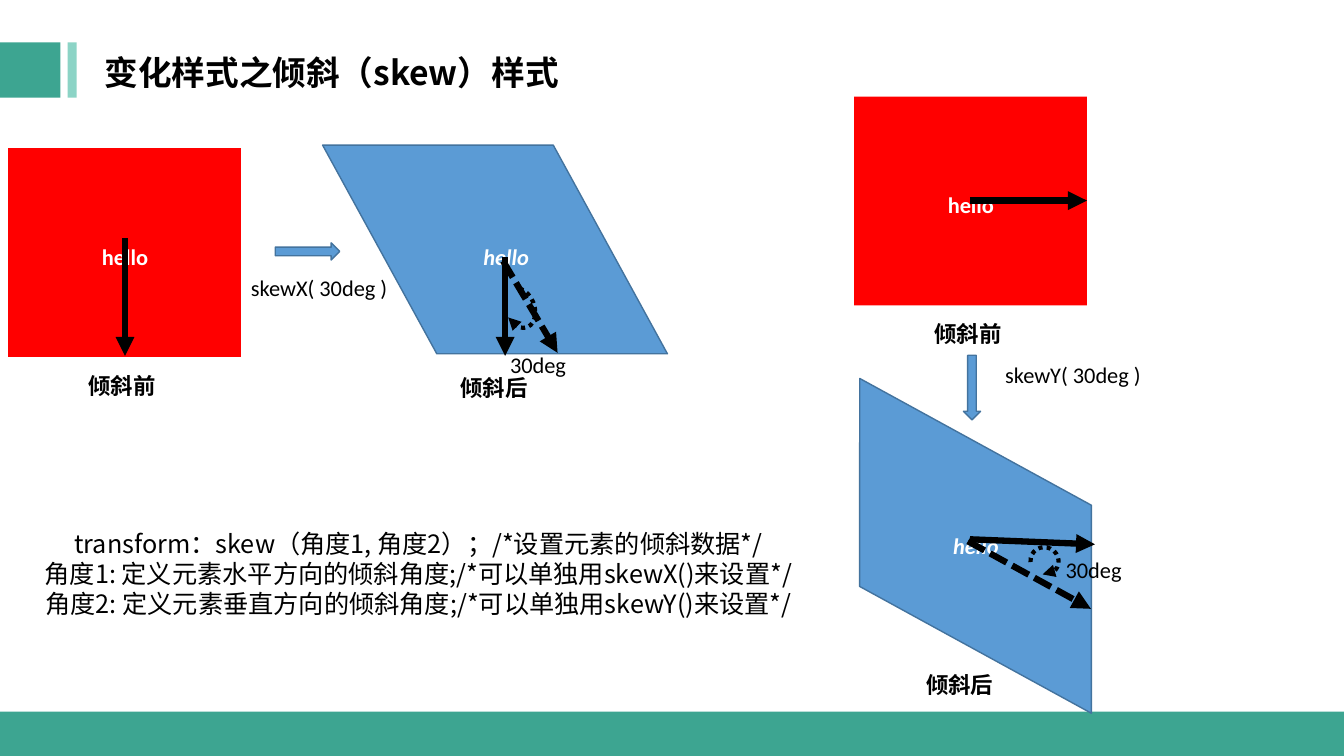
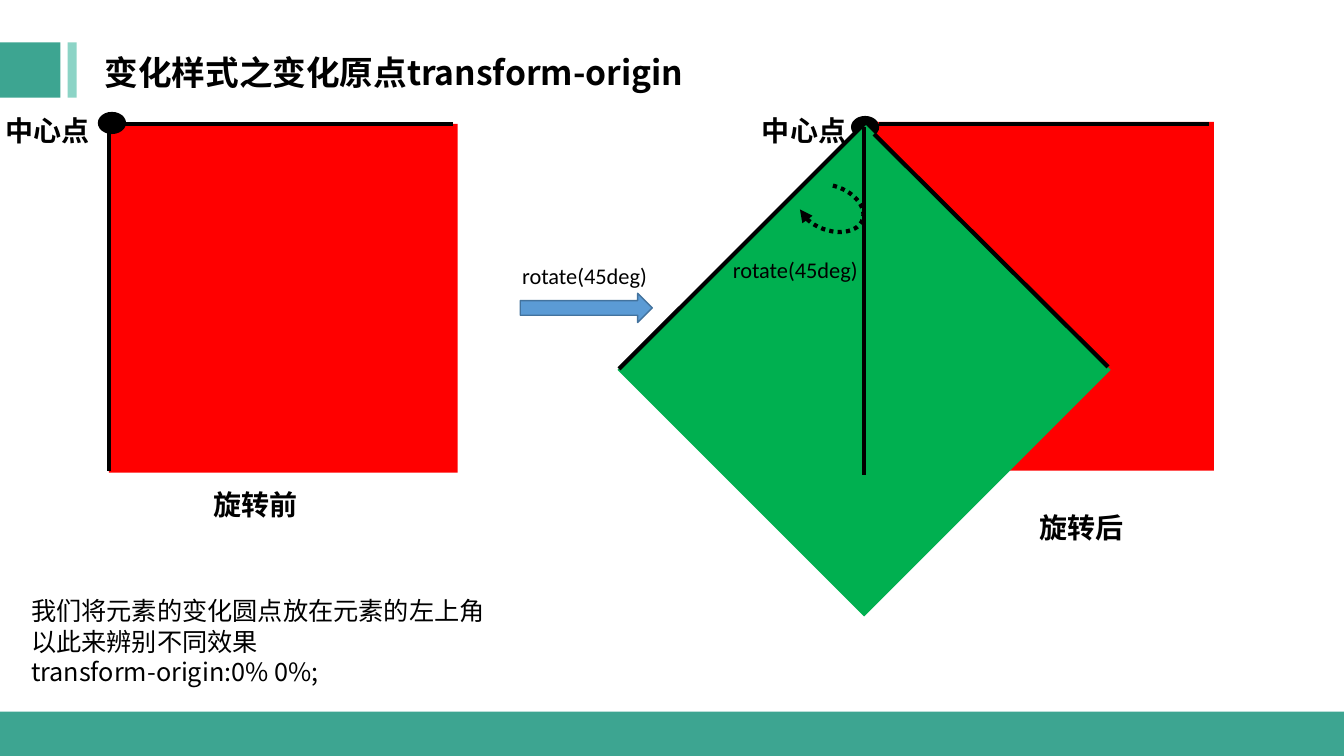
import dataclasses
import typing

import lxml.etree
import pptx
import pptx.dml.color
import pptx.enum.dml
import pptx.enum.shapes
import pptx.enum.text
import pptx.oxml.ns
import pptx.slide
import pptx.util

EMU_PER_PX = 9144  # 100 px to the inch
COLORS = {
    "teal": "3DA591", "mint": "8CD4C6", "red": "FF0000", "green": "00B050",
    "blue": "5B9BD5", "blue_edge": "43739E", "black": "000000", "white": "FFFFFF",
}
CJK_FONT = "Noto Sans CJK SC"
LATIN_FONT = "Calibri"
SHAPE = pptx.enum.shapes.MSO_SHAPE
DASH = pptx.enum.dml.MSO_LINE
ALIGN = pptx.enum.text.PP_ALIGN


@dataclasses.dataclass(frozen=True)
class Box:
    left: int
    top: int
    width: int
    height: int

    def emu(self) -> list[int]:
        return [px(value) for value in dataclasses.astuple(self)]


@dataclasses.dataclass(frozen=True)
class TextStyle:
    size: int
    font: str = LATIN_FONT
    bold: bool = False
    italic: bool = False
    color: str = "black"
    align: ALIGN = ALIGN.LEFT
    wrap: bool = True


@dataclasses.dataclass(frozen=True)
class Label:
    text: str
    box: Box
    style: TextStyle


@dataclasses.dataclass(frozen=True)
class Block:
    kind: SHAPE
    box: Box
    fill: str
    edge: typing.Optional[str] = None
    rotation: float = 0
    flip: bool = False
    adjust: typing.Optional[float] = None


@dataclasses.dataclass(frozen=True)
class Stroke:
    start: tuple[int, int]
    end: tuple[int, int]
    weight: float = 3
    arrow: bool = False
    dash: typing.Optional[DASH] = None


@dataclasses.dataclass(frozen=True)
class AngleArc:
    box: Box
    rotation: float
    start_angle: float
    end_angle: float


Item = typing.Union[Label, Block, Stroke, AngleArc]

TITLE = TextStyle(24, CJK_FONT, bold=True)
BODY = TextStyle(18, CJK_FONT)
BODY_CENTERED = dataclasses.replace(BODY, align=ALIGN.CENTER)
CODE = TextStyle(16)
ANGLE = dataclasses.replace(CODE, wrap=False)
CAPTION = TextStyle(16, bold=True, align=ALIGN.CENTER)
HELLO = dataclasses.replace(CAPTION, color="white")
HELLO_SKEWED = dataclasses.replace(HELLO, italic=True)
BIG_CAPTION = dataclasses.replace(CAPTION, size=20)


def px(value: int) -> int:
    return value * EMU_PER_PX


def rgb(name: str) -> pptx.dml.color.RGBColor:
    return pptx.dml.color.RGBColor.from_string(COLORS[name])


def add_label(page: pptx.slide.Slide, label: Label) -> None:
    frame = page.shapes.add_textbox(*label.box.emu()).text_frame
    frame.word_wrap = label.style.wrap
    frame.text = label.text
    for para in frame.paragraphs:
        para.alignment = label.style.align
        for span in para.runs:
            span.font.size = pptx.util.Pt(label.style.size)
            span.font.bold = label.style.bold
            span.font.italic = label.style.italic
            span.font.color.rgb = rgb(label.style.color)
            span.font.name = label.style.font
            east_asian = lxml.etree.SubElement(
                span.font._element, pptx.oxml.ns.qn("a:ea"))
            east_asian.set("typeface", CJK_FONT)


def add_block(page: pptx.slide.Slide, block: Block) -> None:
    shape = page.shapes.add_shape(block.kind, *block.box.emu())
    shape.shadow.inherit = False
    shape.fill.solid()
    shape.fill.fore_color.rgb = rgb(block.fill)
    if block.edge:
        shape.line.color.rgb = rgb(block.edge)
        shape.line.width = pptx.util.Pt(1)
    else:
        shape.line.fill.background()
    shape.rotation = block.rotation
    if block.adjust is not None:
        shape.adjustments[0] = block.adjust
    if block.flip:
        shape.element.spPr.find(pptx.oxml.ns.qn("a:xfrm")).set("flipH", "1")


def style_line(shape: typing.Any, weight: float, arrow: bool,
               dash: typing.Optional[DASH]) -> None:
    shape.line.color.rgb = rgb("black")
    shape.line.width = pptx.util.Pt(weight)
    if dash is not None:
        shape.line.dash_style = dash
    if arrow:
        outline = shape.element.spPr.find(pptx.oxml.ns.qn("a:ln"))
        tail = lxml.etree.SubElement(outline, pptx.oxml.ns.qn("a:tailEnd"))
        tail.set("type", "triangle")


def add_stroke(page: pptx.slide.Slide, stroke: Stroke) -> None:
    ends = [px(value) for value in stroke.start + stroke.end]
    line = page.shapes.add_connector(
        pptx.enum.shapes.MSO_CONNECTOR.STRAIGHT, *ends)
    style_line(line, stroke.weight, stroke.arrow, stroke.dash)
    lxml.etree.SubElement(line.element.spPr, pptx.oxml.ns.qn("a:effectLst"))


def add_angle_arc(page: pptx.slide.Slide, arc: AngleArc) -> None:
    shape = page.shapes.add_shape(SHAPE.ARC, *arc.box.emu())
    shape.shadow.inherit = False
    shape.fill.background()
    shape.rotation = arc.rotation
    # Angles are stored in 1/60000 degree, adjustments in 1/100000.
    shape.adjustments[0] = arc.start_angle * 0.6
    shape.adjustments[1] = arc.end_angle * 0.6
    style_line(shape, 3, True, DASH.ROUND_DOT)


DRAWERS = {Label: add_label, Block: add_block,
           Stroke: add_stroke, AngleArc: add_angle_arc}


def draw(page: pptx.slide.Slide, items: list[Item]) -> None:
    for item in items:
        DRAWERS[type(item)](page, item)


def add_page(deck: typing.Any, title: str) -> pptx.slide.Slide:
    """Add a blank page with the shared title, title marks and footer band."""
    page = deck.slides.add_slide(deck.slide_layouts[6])
    draw(page, [
        Block(SHAPE.RECTANGLE, Box(0, 42, 60, 55), "teal"),
        Block(SHAPE.RECTANGLE, Box(67, 42, 9, 55), "mint"),
        Label(title, Box(94, 47, 711, 50), TITLE),
        Block(SHAPE.RECTANGLE, Box(0, 706, 1333, 44), "teal"),
    ])
    return page


def block_arrow(box: Box, rotation: float = 0) -> Block:
    return Block(SHAPE.RIGHT_ARROW, box, "blue", "blue_edge", rotation)


def skewed(box: Box, rotation: float = 0) -> Block:
    return Block(SHAPE.PARALLELOGRAM, box, "blue", "blue_edge", rotation,
                 flip=True, adjust=0.547)


def caption(text: str, left: int, top: int, style: TextStyle = CAPTION) -> Label:
    return Label(text, Box(left, top, 104, 37), style)


def big_caption(text: str, left: int, top: int) -> Label:
    return Label(text, Box(left, top, 155, 44), BIG_CAPTION)


def heavy_arrow(start: tuple[int, int], end: tuple[int, int],
                dash: typing.Optional[DASH] = None) -> Stroke:
    return Stroke(start, end, 4.5, True, dash)


def before_skew(left: int, top: int) -> list[Item]:
    return [
        Block(SHAPE.RECTANGLE, Box(left, top, 231, 207), "red"),
        caption("hello", left + 64, top + 89, HELLO),
        caption("倾斜前", left + 61, top + 217),
    ]


def origin_square(left: int, top: int, dot_left: int, dot_top: int) -> list[Item]:
    """Red square with two edges marked from its origin dot."""
    return [
        Block(SHAPE.RECTANGLE, Box(left, top, 346, 346), "red"),
        Block(SHAPE.OVAL, Box(dot_left, dot_top, 28, 22), "black"),
        Stroke((left, 121), (left, 467)),
        Stroke((left + 14, 123), (left + 341, 123)),
        big_caption("中心点", left - 138, 108),
    ]


def build_skew_page(deck: typing.Any) -> None:
    page = add_page(deck, "变化样式之倾斜（skew）样式")
    explanation = "\n".join([
        "transform：skew（角度1, 角度2）；/*设置元素的倾斜数据*/",
        "角度1: 定义元素水平方向的倾斜角度;/*可以单独用skewX()来设置*/",
        "角度2: 定义元素垂直方向的倾斜角度;/*可以单独用skewY()来设置*/",
    ])
    draw(page, [Label(explanation, Box(8, 519, 814, 101), BODY_CENTERED)])
    draw(page, before_skew(8, 147) + [
        block_arrow(Box(273, 241, 64, 17)),
        Label("skewX( 30deg )", Box(239, 267, 169, 37), CODE),
        caption("倾斜后", 438, 366),
        skewed(Box(320, 144, 342, 207)),
        caption("hello", 450, 236, HELLO_SKEWED),
        heavy_arrow((124, 236), (124, 353)),
        heavy_arrow((499, 259), (553, 350), DASH.SQUARE_DOT),
        AngleArc(Box(495, 291, 41, 29), 68.4, 200.79, 72.33),
        Label("30deg", Box(496, 343, 82, 37), ANGLE),
        heavy_arrow((501, 255), (501, 353)),
    ])
    draw(page, before_skew(847, 96) + [
        block_arrow(Box(932, 376, 64, 17), 90),
        Label("skewY( 30deg )", Box(987, 353, 169, 37), CODE),
        caption("倾斜后", 900, 661),
        skewed(Box(787, 451, 361, 181), 208.7),
        caption("hello", 916, 523, HELLO_SKEWED),
        heavy_arrow((960, 537), (1082, 604), DASH.SQUARE_DOT),
        AngleArc(Box(1022, 543, 28, 27), 25.9, 149.39, 72.33),
        Label("30deg", Box(1047, 547, 82, 37), ANGLE),
        heavy_arrow((962, 199), (1078, 199)),
        heavy_arrow((962, 535), (1086, 540)),
    ])


def build_origin_page(deck: typing.Any) -> None:
    page = add_page(deck, "变化样式之变化原点transform-origin")
    explanation = "\n".join([
        "我们将元素的变化圆点放在元素的左上角以此来辨别不同效果",
        "transform-origin:0% 0%;",
    ])
    draw(page, [
        Label(explanation, Box(21, 586, 489, 101), BODY),
        block_arrow(Box(516, 291, 131, 29)),
        Label("rotate(45deg)", Box(508, 255, 155, 37), CODE),
        big_caption("旋转前", 176, 479),
        big_caption("旋转后", 995, 502),
    ])
    draw(page, origin_square(108, 123, 97, 111))
    draw(page, origin_square(858, 121, 844, 115))
    draw(page, [
        Block(SHAPE.RECTANGLE, Box(684, 194, 346, 346), "green", rotation=45),
        Stroke((859, 121), (614, 366)),
        Stroke((867, 133), (1099, 364)),
        Stroke((857, 126), (857, 471)),
        AngleArc(Box(802, 173, 44, 67), 110.3, 164.92, 67.42),
        Label("rotate(45deg)", Box(717, 249, 155, 37), CODE),
    ])


def main() -> None:
    deck = pptx.Presentation()
    deck.slide_width, deck.slide_height = px(1333), px(750)
    build_skew_page(deck)
    build_origin_page(deck)
    deck.save("out.pptx")


if __name__ == "__main__":
    main()
